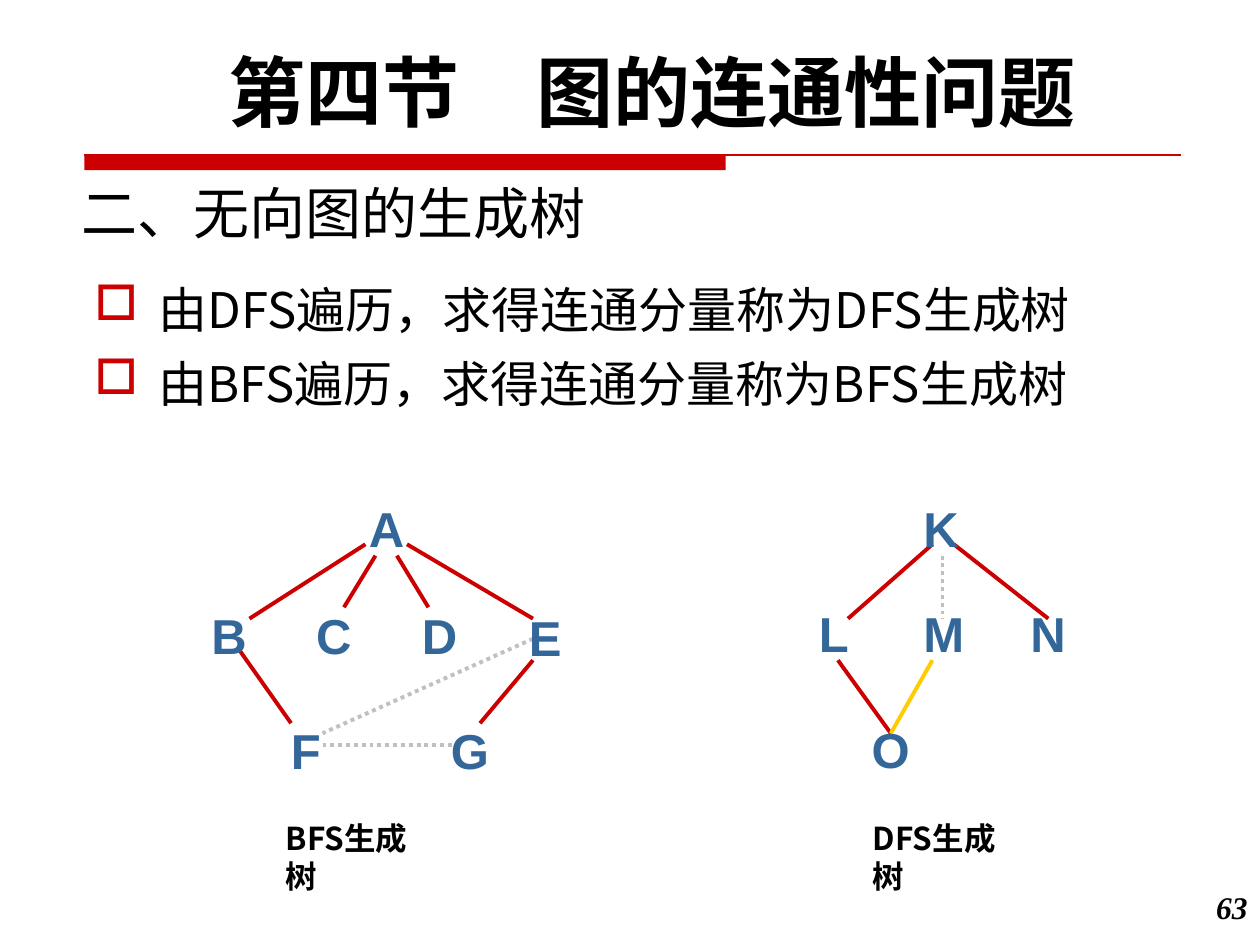
from dataclasses import dataclass
from typing import Optional

from lxml import etree
from pptx import Presentation
from pptx.dml.color import RGBColor
from pptx.enum.dml import MSO_LINE
from pptx.enum.shapes import MSO_CONNECTOR, MSO_SHAPE
from pptx.enum.text import MSO_ANCHOR, PP_ALIGN
from pptx.oxml.ns import qn
from pptx.util import Inches, Pt

STRAIGHT = MSO_CONNECTOR.STRAIGHT
RECTANGLE = MSO_SHAPE.RECTANGLE
DOTTED = MSO_LINE.ROUND_DOT
TOP, BOTTOM = MSO_ANCHOR.TOP, MSO_ANCHOR.BOTTOM
LEFT, CENTER, RIGHT = PP_ALIGN.LEFT, PP_ALIGN.CENTER, PP_ALIGN.RIGHT


@dataclass(frozen=True)
class TextStyle:
    size: float
    font: str
    color: str = "000000"
    bold: bool = False
    italic: bool = False


@dataclass(frozen=True)
class Theme:
    red: str = "CC0000"
    yellow: str = "FFCC00"
    gray: str = "C0C0C0"
    edge_width: float = 2.25
    chapter: TextStyle = TextStyle(44, "Lato", bold=True)
    section: TextStyle = TextStyle(32, "Noto Sans CJK SC")
    body: TextStyle = TextStyle(28, "Noto Sans CJK SC")
    caption: TextStyle = TextStyle(18, "Noto Sans CJK SC", bold=True)
    node: TextStyle = TextStyle(28, "Arial", "336699", bold=True)
    number: TextStyle = TextStyle(18, "Times New Roman", bold=True, italic=True)


@dataclass(frozen=True)
class Node:
    label: str
    left: float
    top: float
    width: float = 0.48


@dataclass(frozen=True)
class Edge:
    x1: float
    y1: float
    x2: float
    y2: float
    color: str
    dotted: bool = False


THEME = Theme()

NODES = [
    # Breadth-first tree
    Node("A", 2.83, 3.91), Node("B", 1.58, 4.76), Node("C", 2.41, 4.76),
    Node("D", 3.25, 4.76), Node("E", 4.1, 4.77, 0.46),
    Node("F", 2.21, 5.67, 0.44), Node("G", 3.48, 5.67, 0.5),
    # Depth-first tree
    Node("K", 7.23, 3.91), Node("L", 6.4, 4.74, 0.44), Node("M", 7.23, 4.74, 0.53),
    Node("N", 8.08, 4.74), Node("O", 6.82, 5.66, 0.5),
]

EDGES = [
    # Depth-first tree
    Edge(6.65, 5.24, 7.07, 5.82, THEME.red),
    Edge(7.4, 5.24, 7.07, 5.82, THEME.yellow),
    Edge(7.57, 4.32, 8.32, 4.91, THEME.red),
    Edge(7.4, 4.32, 6.73, 4.91, THEME.red),
    Edge(7.48, 4.41, 7.48, 4.91, THEME.gray, True),
    # Breadth-first tree
    Edge(4.23, 5.07, 2.56, 5.82, THEME.gray, True),
    Edge(2.56, 5.91, 3.65, 5.91, THEME.gray, True),
    Edge(1.9, 5.16, 2.31, 5.74, THEME.red),
    Edge(4.23, 5.24, 3.81, 5.74, THEME.red),
    Edge(3.23, 4.32, 4.23, 4.91, THEME.red),
    Edge(3.15, 4.41, 3.4, 4.82, THEME.red),
    Edge(2.98, 4.41, 2.73, 4.82, THEME.red),
    Edge(2.9, 4.32, 1.98, 4.91, THEME.red),
]

CAPTIONS = [("BFS生成树", 2.17), ("DFS生成树", 6.83)]
BULLETS = ["由DFS遍历，求得连通分量称为DFS生成树", "由BFS遍历，求得连通分量称为BFS生成树"]


def add_bullet(para, character: str, color: str, indent: float) -> None:
    properties = para._p.get_or_add_pPr()
    properties.set("marL", str(Inches(indent)))
    properties.set("indent", str(-Inches(indent)))
    bullet_color = etree.SubElement(properties, qn("a:buClr"))
    etree.SubElement(bullet_color, qn("a:srgbClr"), val=color)
    etree.SubElement(properties, qn("a:buChar"), char=character)


def add_text(page, lines: list[str], left: float, top: float, width: float,
             height: float, style: TextStyle, align=LEFT, anchor=TOP,
             bullet: Optional[str] = None, line_spacing: Optional[float] = None) -> None:
    box = page.shapes.add_textbox(Inches(left), Inches(top), Inches(width), Inches(height))
    frame = box.text_frame
    frame.word_wrap = True
    frame.vertical_anchor = anchor
    for index, line in enumerate(lines):
        para = frame.paragraphs[0] if index == 0 else frame.add_paragraph()
        if bullet:
            add_bullet(para, bullet, THEME.red, 0.51)
        para.alignment = align
        if line_spacing:
            para.line_spacing = line_spacing
        if index:
            para.space_before = Pt(style.size * 0.3)
        span = para.add_run()
        span.text = line
        font = span.font
        font.size = Pt(style.size)
        font.name = style.font
        font.bold, font.italic = style.bold, style.italic
        font.color.rgb = RGBColor.from_string(style.color)
        etree.SubElement(span._r.get_or_add_rPr(), qn("a:ea"), typeface=style.font)


def add_line(page, edge: Edge, width: float) -> None:
    line = page.shapes.add_connector(STRAIGHT, Inches(edge.x1), Inches(edge.y1),
                                     Inches(edge.x2), Inches(edge.y2))
    line.line.color.rgb = RGBColor.from_string(edge.color)
    line.line.width = Pt(width)
    if edge.dotted:
        line.line.dash_style = DOTTED
    etree.SubElement(line._element.spPr, qn("a:effectLst"))


def add_title_rule(page) -> None:
    bar = page.shapes.add_shape(RECTANGLE, Inches(0.67), Inches(1.23), Inches(5.09), Inches(0.12))
    bar.shadow.inherit = False
    bar.fill.solid()
    bar.fill.fore_color.rgb = RGBColor.from_string(THEME.red)
    bar.line.fill.background()
    add_line(page, Edge(0.67, 1.23, 9.37, 1.23, THEME.red), 0.75)


def main() -> None:
    deck = Presentation()
    deck.slide_width, deck.slide_height = Inches(10), Inches(7.5)
    page = deck.slides.add_slide(deck.slide_layouts[6])

    # Headings and bullets
    add_title_rule(page)
    add_text(page, ["第四节\u3000图的连通性问题".replace("\u3000", "　")], 0.55, 0.39, 9.25, 0.77,
             THEME.chapter, align=CENTER, line_spacing=0.9)
    add_text(page, ["二、无向图的生成树"], 0.55, 1.25, 8.25, 0.75, THEME.section, anchor=BOTTOM)
    add_text(page, BULLETS, 0.65, 2.17, 9.58, 1.35, THEME.body, bullet="□")

    # Spanning trees
    for edge in EDGES:
        add_line(page, edge, THEME.edge_width)
    for node in NODES:
        add_text(page, [node.label], node.left, node.top, node.width, 0.57, THEME.node)
    for caption, left in CAPTIONS:
        add_text(page, [caption], left, 6.45, 1.35, 0.4, THEME.caption)

    # Page number
    add_text(page, ["63"], 9.33, 7, 0.67, 0.5, THEME.number, align=RIGHT)
    deck.save("out.pptx")


if __name__ == "__main__":
    main()
